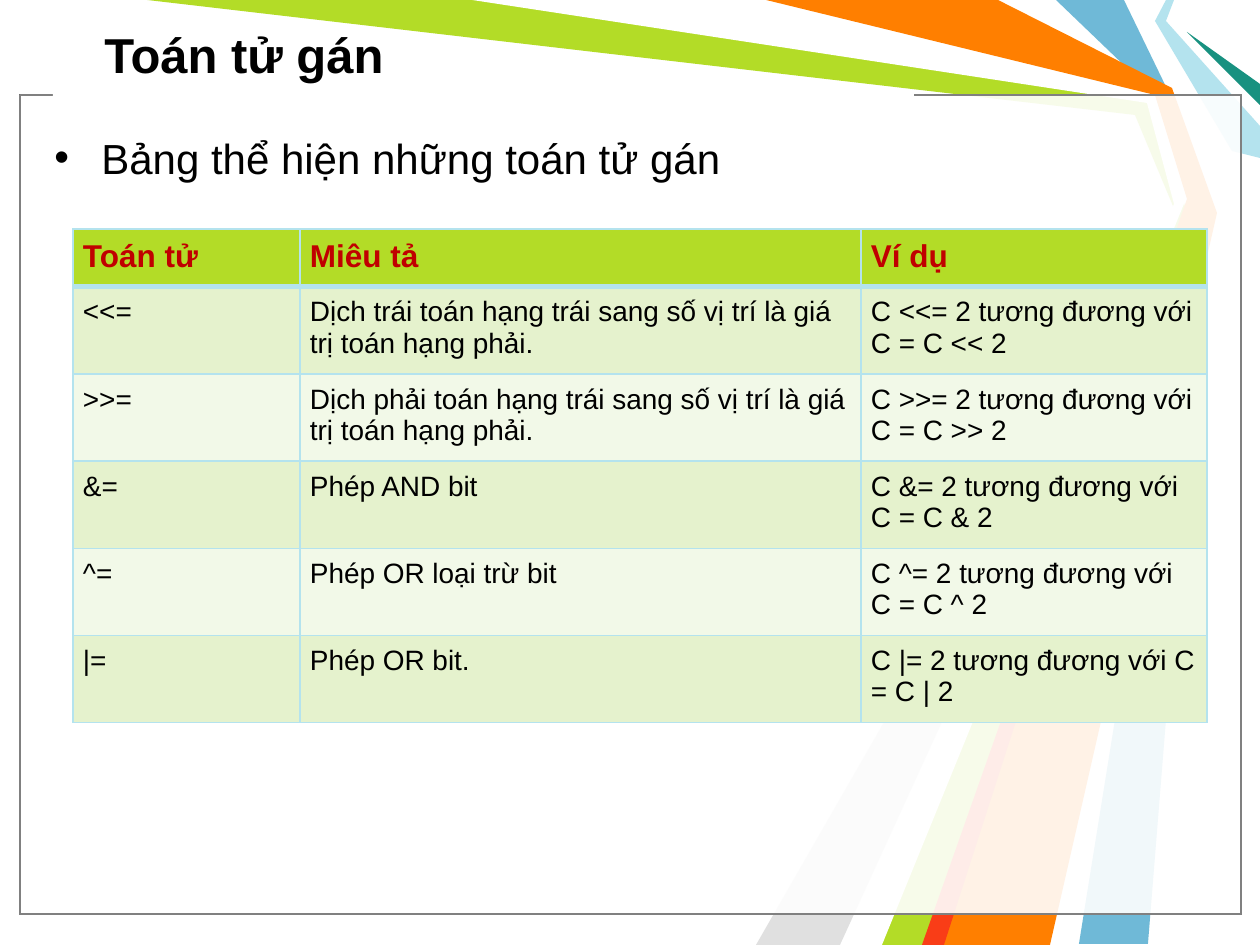
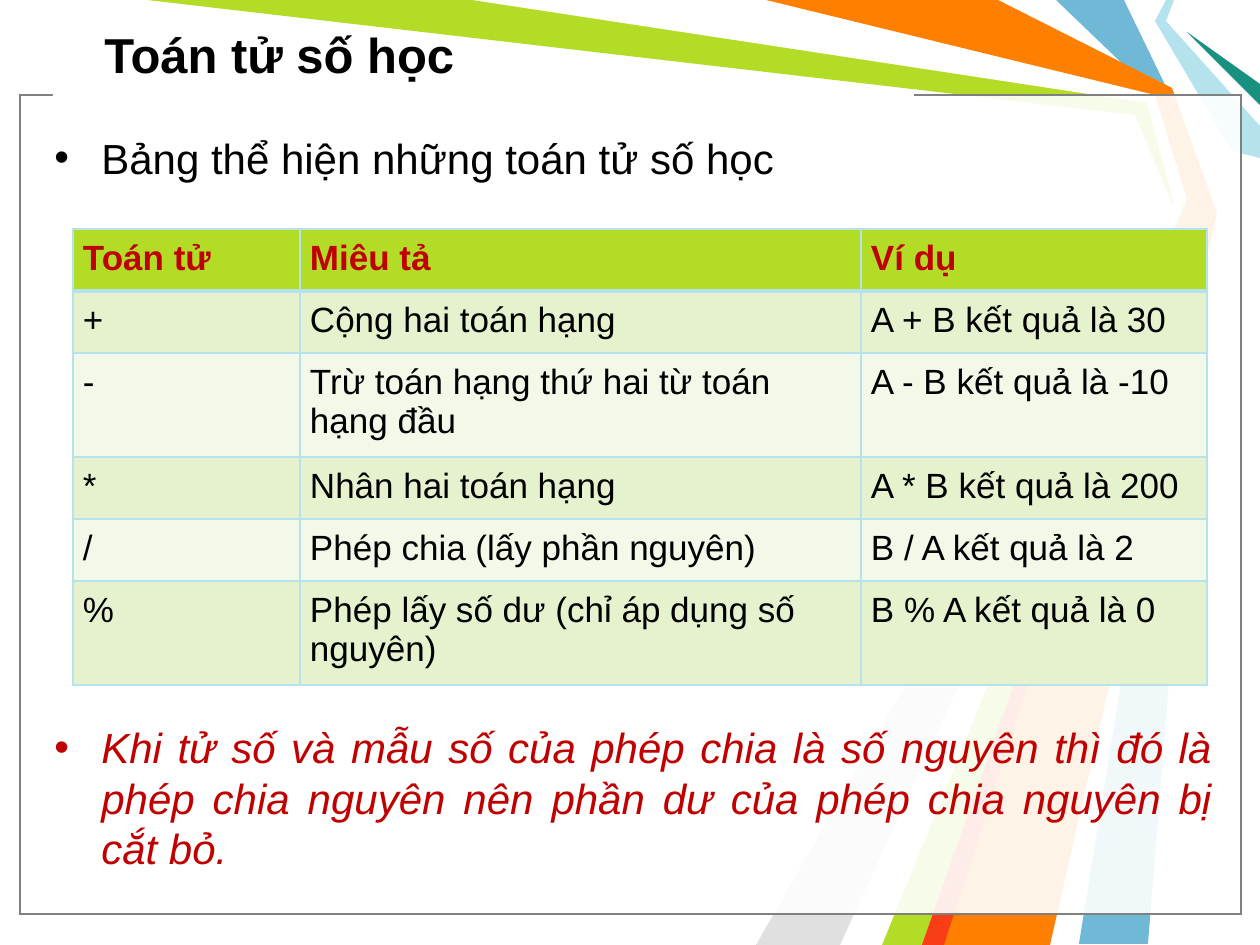
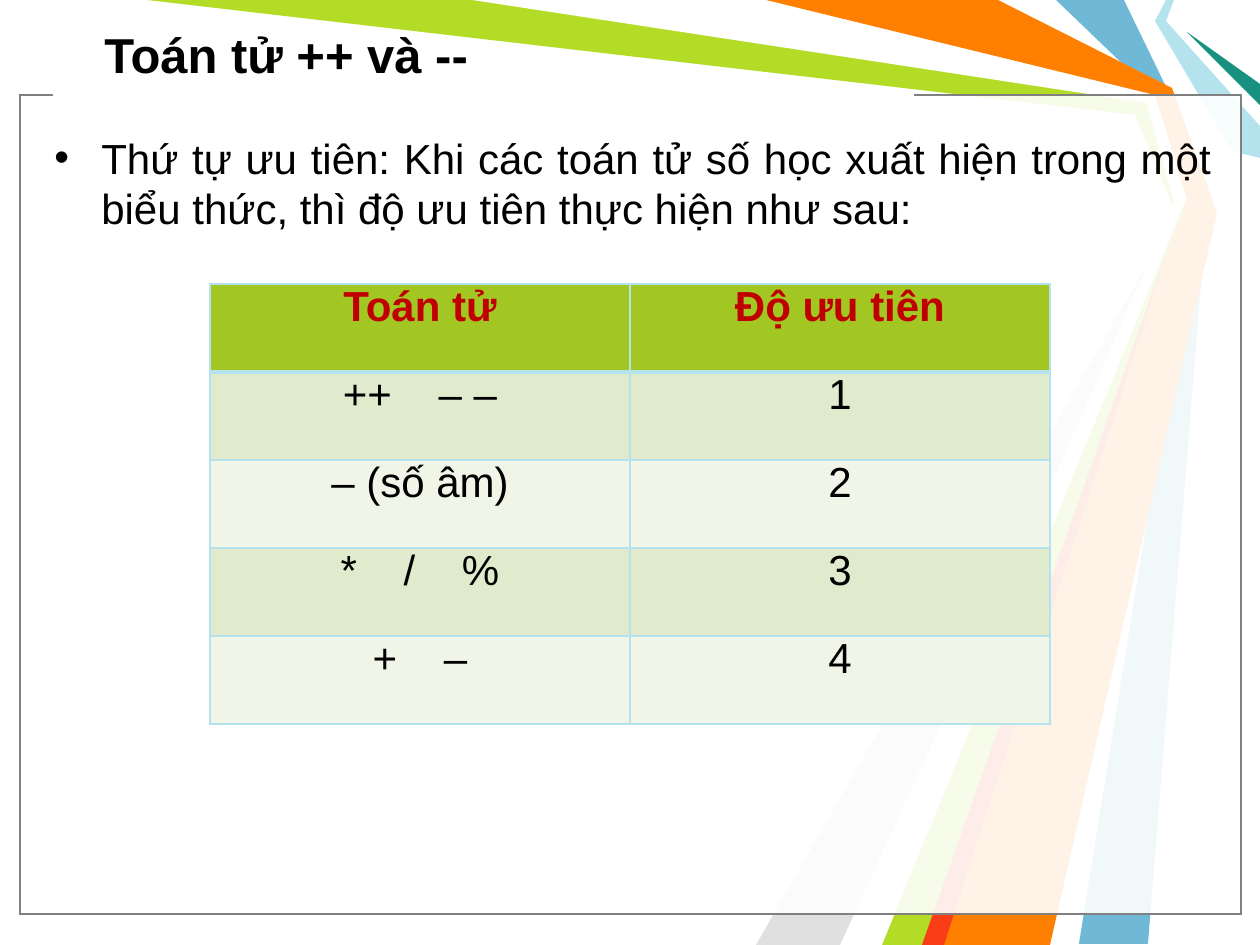
from lxml.etree import SubElement
from pptx import Presentation
from pptx.dml.color import RGBColor
from pptx.enum.shapes import MSO_SHAPE
from pptx.enum.text import MSO_ANCHOR, PP_ALIGN
from pptx.oxml.ns import qn
from pptx.util import Emu, Pt

SCALE = 914400 / 126
FONT = "Arial"
BLACK = RGBColor(0x00, 0x00, 0x00)
WHITE = RGBColor(0xFF, 0xFF, 0xFF)
GRAY = RGBColor(0x80, 0x80, 0x80)
SILVER = RGBColor(0xE0, 0xE0, 0xE0)
BLUE = RGBColor(0x6F, 0xB9, 0xD7)
LIME = RGBColor(0xB3, 0xDC, 0x27)
CYAN = RGBColor(0xB4, 0xE3, 0xEE)
TEAL = RGBColor(0x18, 0x91, 0x80)
ORANGE = RGBColor(0xFF, 0x7F, 0x00)
RED = RGBColor(0xF9, 0x3D, 0x17)
CRIMSON = RGBColor(0xC0, 0x00, 0x00)
OLIVE = RGBColor(0xA2, 0xC7, 0x22)
LIME_BANDS = (LIME, RGBColor(0xE5, 0xF2, 0xCD), RGBColor(0xF2, 0xF9, 0xE8))
OLIVE_BANDS = (OLIVE, RGBColor(0xE0, 0xEB, 0xCD), RGBColor(0xF0, 0xF5, 0xE8))

RIBBONS = [
    (BLUE, [(1124, 0), (1171, 97), (1207, 210), (1148, 944), (1079, 944),
            (1197, 210), (1155, 95), (1056, 0)]),
    (LIME, [(147, 0), (483, 0), (1152, 98), (1187, 213), (935, 945),
            (872, 945), (1178, 218), (1135, 115)]),
    (SILVER, [(840, 945), (1168, 228), (756, 945)]),
    (WHITE, [(472, 0), (1147, 103), (1174, 204), (850, 945), (882, 945),
             (1186, 199), (1155, 95), (756, 0)]),
    (CYAN, [(1166, 0), (1155, 21), (1232, 151), (1260, 158), (1260, 126),
            (1166, 21), (1174, 0)]),
    (TEAL, [(1260, 105), (1187, 32), (1260, 84)]),
    (ORANGE, [(766, 0), (998, 0), (1172, 88), (1217, 213), (1050, 945),
              (924, 945), (1187, 199), (1155, 95)]),
    (RED, [(922, 945), (1174, 231), (944, 945)]),
]

OPERATOR_HEAD = ("Toán tử", "Miêu tả", "Ví dụ")
ASSIGNMENT_ROWS = [
    OPERATOR_HEAD,
    ("<<=", "Dịch trái toán hạng trái sang số vị trí là giá trị toán hạng phải.",
     "C <<= 2 tương đương với C = C << 2"),
    (">>=", "Dịch phải toán hạng trái sang số vị trí là giá trị toán hạng phải.",
     "C >>= 2 tương đương với C = C >> 2"),
    ("&=", "Phép AND bit", "C &= 2 tương đương với C = C & 2"),
    ("^=", "Phép OR loại trừ bit", "C ^= 2 tương đương với C = C ^ 2"),
    ("|=", "Phép OR bit.", "C |= 2 tương đương với C = C | 2"),
]
ARITHMETIC_ROWS = [
    OPERATOR_HEAD,
    ("+", "Cộng hai toán hạng", "A + B kết quả là 30"),
    ("-", "Trừ toán hạng thứ hai từ toán hạng đầu", "A - B kết quả là -10"),
    ("*", "Nhân hai toán hạng", "A * B kết quả là 200"),
    ("/", "Phép chia (lấy phần nguyên)", "B / A kết quả là 2"),
    ("%", "Phép lấy số dư (chỉ áp dụng số nguyên)", "B % A kết quả là 0"),
]
# A "|" marks a wide gap between operators.
PRIORITY_ROWS = [
    ("Toán tử", "Độ ưu tiên"),
    ("++|– –", "1"),
    ("– (số âm)", "2"),
    ("*|/|%", "3"),
    ("+|–", "4"),
]
OPERATOR_COLS = (227, 561, 346)
OPERATOR_LOOK = dict(bands=LIME_BANDS, row_height=52, inset=(10, 10))
PRIORITY_LOOK = dict(bands=OLIVE_BANDS, row_height=88, inset=(9, 0),
                     align=PP_ALIGN.CENTER, gap_mark="|")


def px(n):
    """Turn pixels into EMU."""
    return Emu(round(n * SCALE))


def add_run(p, text, size, color=BLACK, **style):
    """Add a run to a paragraph and format its font."""
    r = p.add_run()
    r.text = text
    r.font.color.rgb = color
    for name, value in dict(name=FONT, size=Pt(size), **style).items():
        setattr(r.font, name, value)
    return r


def paint(sp, fill, line=None, opacity=None):
    """Give a shape a flat fill, an optional outline and opacity."""
    sp.shadow.inherit = False
    sp.fill.solid()
    sp.fill.fore_color.rgb = fill
    if opacity:
        color = sp._element.spPr.find(qn("a:solidFill"))[0]
        SubElement(color, qn("a:alpha"), val=str(opacity * 1000))
    if line is None:
        sp.line.fill.background()
    else:
        sp.line.color.rgb = line
        sp.line.width = Pt(0.75)


def add_ribbon(slide, color, points):
    """Draw one filled polygon of the background."""
    builder = slide.shapes.build_freeform(*points[0], scale=SCALE)
    builder.add_line_segments(points[1:], close=True)
    paint(builder.convert_to_shape(), color)


def add_rect(slide, box, **look):
    """Draw a rectangle."""
    sp = slide.shapes.add_shape(MSO_SHAPE.RECTANGLE, *map(px, box))
    paint(sp, **look)


def add_text_box(slide, box):
    """Add a wrapping text box and return its text frame."""
    tf = slide.shapes.add_textbox(*map(px, box)).text_frame
    tf.word_wrap = True
    return tf


def add_bullet(p, text, color=BLACK, before=0, **style):
    """Fill a justified paragraph with a hanging bullet."""
    p.alignment = PP_ALIGN.JUSTIFY
    p.space_before = Pt(before)
    pPr = p._p.get_or_add_pPr()
    pPr.set("marL", str(px(47)))
    pPr.set("indent", str(px(-47)))
    SubElement(pPr, qn("a:buFont"), typeface=FONT)
    SubElement(pPr, qn("a:buChar"), char="•")
    add_run(p, text, 24, color, **style)


def add_frame_slide(prs, title, lead):
    """Add a slide with the shared background, a title and a lead bullet."""
    slide = prs.slides.add_slide(prs.slide_layouts[6])
    for color, points in RIBBONS:
        add_ribbon(slide, color, points)
    for line in (BLACK, GRAY):
        add_rect(slide, (20, 95, 1221, 819), fill=WHITE, line=line, opacity=69)
    add_rect(slide, (53, 93, 861, 21), fill=WHITE)
    tf = add_text_box(slide, (92, 10, 1148, 87))
    tf.vertical_anchor = MSO_ANCHOR.MIDDLE
    add_run(tf.paragraphs[0], title, 28, bold=True)
    body = add_text_box(slide, (42, 126, 1182, 777))
    add_bullet(body.paragraphs[0], lead, before=3)
    return slide, body


def set_borders(cell, top, bottom):
    """Draw the four borders of a cell; top and bottom widths in points."""
    tcPr = cell._tc.get_or_add_tcPr()
    for side, width in dict(lnL=1, lnR=1, lnT=top, lnB=bottom).items():
        ln = SubElement(tcPr, qn("a:" + side), w=str(Pt(width)))
        fill = SubElement(ln, qn("a:solidFill"))
        SubElement(fill, qn("a:srgbClr"), val=str(CYAN))


def fill_cell(p, text, gap_mark, size, **style):
    """Write cell text, with a widened space at each gap mark."""
    parts = text.split(gap_mark) if gap_mark else [text]
    for i, part in enumerate(parts):
        if i:
            gap = add_run(p, " ", size, **style)
            gap.font._element.set("spc", "2000")
        add_run(p, part, size, **style)


def add_grid(slide, left, top, cols, rows, sizes, bands, row_height, inset,
             align=PP_ALIGN.LEFT, gap_mark=None):
    """Add a banded table; sizes are the header and body font sizes."""
    table = slide.shapes.add_table(
        len(rows), len(cols), px(left), px(top), px(sum(cols)),
        px(row_height * len(rows))).table
    for column, width in zip(table.columns, cols):
        column.width = px(width)
    side, edge = map(px, inset)
    margins = dict(margin_left=side, margin_right=side,
                   margin_top=edge, margin_bottom=edge)
    for i, row in enumerate(rows):
        head = i == 0
        band = bands[0] if head else bands[2 - i % 2]
        style = dict(size=sizes[0 if head else 1], bold=head,
                     color=CRIMSON if head else BLACK)
        for j, text in enumerate(row):
            cell = table.cell(i, j)
            set_borders(cell, 3 if i == 1 else 1, 3 if head else 1)
            cell.fill.solid()
            cell.fill.fore_color.rgb = band
            for name, value in margins.items():
                setattr(cell, name, value)
            p = cell.text_frame.paragraphs[0]
            p.alignment = align
            fill_cell(p, text, gap_mark, **style)


def main():
    """Build the three slides."""
    prs = Presentation()
    prs.slide_width, prs.slide_height = px(1260), px(945)

    slide, _ = add_frame_slide(prs, "Toán tử gán",
                               "Bảng thể hiện những toán tử gán")
    add_grid(slide, 73, 229, OPERATOR_COLS, ASSIGNMENT_ROWS, (18, 16),
             **OPERATOR_LOOK)

    slide, body = add_frame_slide(prs, "Toán tử số học",
                                  "Bảng thể hiện những toán tử số học")
    add_bullet(body.add_paragraph(),
               "Khi tử số và mẫu số của phép chia là số nguyên thì đó là phép "
               "chia nguyên nên phần dư của phép chia nguyên bị cắt bỏ.",
               CRIMSON, before=308, italic=True)
    add_grid(slide, 73, 229, OPERATOR_COLS, ARITHMETIC_ROWS, (20, 20),
             **OPERATOR_LOOK)

    slide, _ = add_frame_slide(
        prs, "Toán tử ++ và --",
        "Thứ tự ưu tiên: Khi các toán tử số học xuất hiện trong một biểu thức, "
        "thì độ ưu tiên thực hiện như sau:")
    add_grid(slide, 210, 284, (420, 420), PRIORITY_ROWS, (24, 24),
             **PRIORITY_LOOK)

    prs.save("out.pptx")


main()
